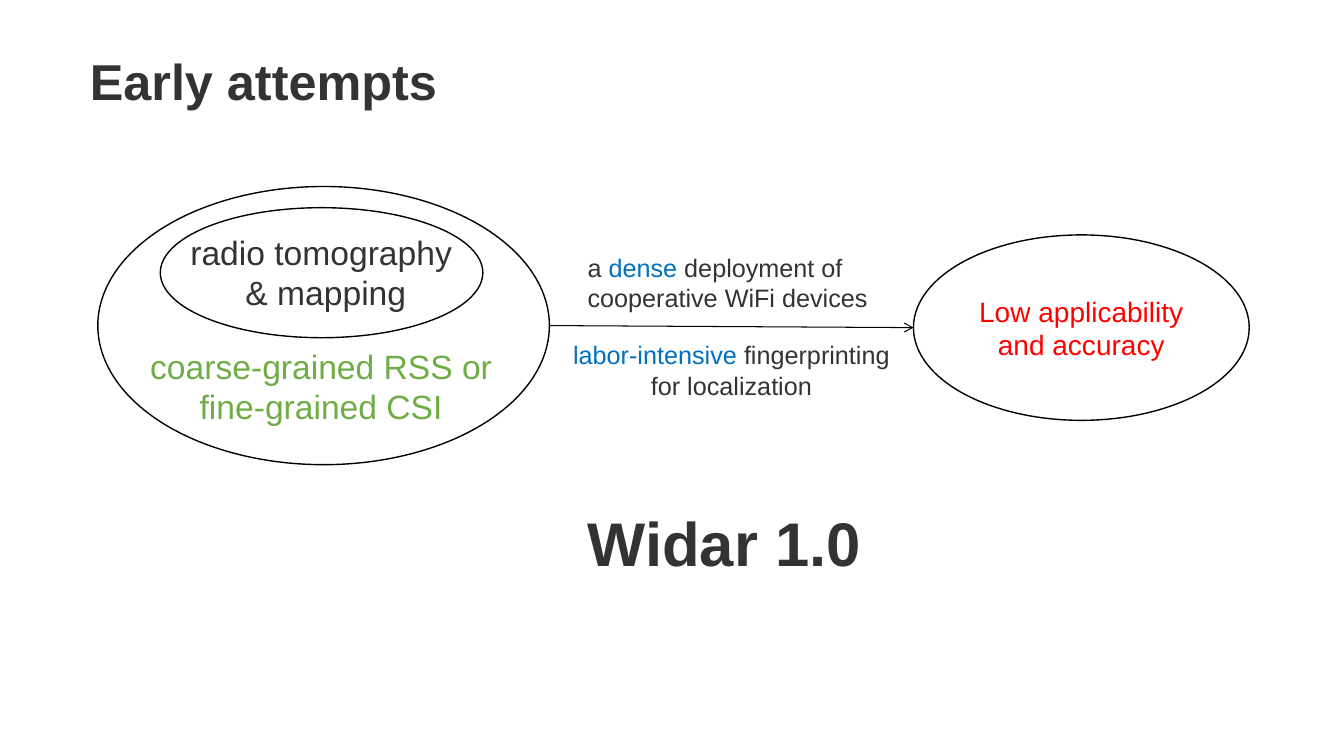
from lxml.etree import SubElement
from pptx import Presentation
from pptx.dml.color import RGBColor
from pptx.enum.shapes import MSO_CONNECTOR, MSO_SHAPE
from pptx.enum.text import MSO_ANCHOR, MSO_AUTO_SIZE, PP_ALIGN
from pptx.oxml.ns import qn
from pptx.util import Inches, Pt

COLORS = {"ink": "333333", "green": "70AD47", "blue": "0070C0",
          "red": "FF0000", "line": "000000"}
WIDTH, HEIGHT = 13.33, 7.5

# Areas are left, top, width, height in percent of the slide.
TITLE = ("Early attempts", (5.93, 6, 31.88, 9.47))
METHODS = (7.28, 24.67, 33.6, 36.8)
RADIO = (11.93, 27.47, 24, 17.2)
RESULT = ("Low applicability and accuracy", (67.97, 31.07, 24.98, 24.53))

# Each label: runs of (text, colour), area, format.
LABELS = [
    ([("radio tomography  & mapping", "ink")],
     (13.13, 30, 21.53, 12.13), {"size": 24, "centered": True}),
    ([("coarse-grained RSS or fine-grained CSI", "green")],
     (10.35, 45.07, 27.08, 12.13), {"size": 24, "centered": True}),
    ([("a ", "ink"), ("dense", "blue"),
      (" deployment of cooperative WiFi devices", "ink")],
     (42.98, 32.67, 24.98, 9.47), {"size": 18}),
    ([("labor-intensive", "blue"), (" fingerprinting for localization", "ink")],
     (41.48, 44.27, 25.88, 9.47), {"size": 18, "centered": True}),
    ([("Widar 1.0", "ink")],
     (42.98, 66.13, 22.05, 11.2), {"size": 44, "bold": True, "wrap": False}),
]


def place(area):
    """Turn percentages of the slide into lengths."""
    left, top, width, height = area
    return (Inches(left * WIDTH / 100), Inches(top * HEIGHT / 100),
            Inches(width * WIDTH / 100), Inches(height * HEIGHT / 100))


def write(box, runs, size, bold=False, centered=False, wrap=True,
          anchor=MSO_ANCHOR.TOP, auto_size=MSO_AUTO_SIZE.SHAPE_TO_FIT_TEXT):
    frame = box.text_frame
    frame.word_wrap = wrap
    frame.auto_size = auto_size
    frame.vertical_anchor = anchor
    para = frame.paragraphs[0]
    para.alignment = PP_ALIGN.CENTER if centered else PP_ALIGN.LEFT
    for text, color in runs:
        span = para.add_run()
        span.text = text
        span.font.name = "Arial"
        span.font.size = Pt(size)
        span.font.bold = bold
        span.font.color.rgb = RGBColor.from_string(COLORS[color])


def draw_line(line, width):
    line.color.rgb = RGBColor.from_string(COLORS["line"])
    line.width = Pt(width)


def add_ellipse(page, area):
    ellipse = page.shapes.add_shape(MSO_SHAPE.OVAL, *place(area))
    ellipse.shadow.inherit = False
    ellipse.fill.background()
    draw_line(ellipse.line, 1)
    return ellipse


def add_arrow(page, source, target):
    """Point from the right of one ellipse to the left of another."""
    arrow = page.shapes.add_connector(
        MSO_CONNECTOR.STRAIGHT,
        source.left + source.width, source.top + source.height // 2,
        target.left, target.top + target.height // 2)
    draw_line(arrow.line, 0.75)
    SubElement(arrow.line._get_or_add_ln(), qn("a:tailEnd"), type="arrow")
    SubElement(arrow._element.spPr, qn("a:effectLst"))


def main():
    deck = Presentation()
    deck.slide_width, deck.slide_height = Inches(WIDTH), Inches(HEIGHT)
    page = deck.slides.add_slide(deck.slide_layouts.get_by_name("Title Only"))

    title_text, title_area = TITLE
    title = page.shapes.title
    title.left, title.top, title.width, title.height = place(title_area)
    write(title, [(title_text, "ink")], size=36, bold=True)

    add_ellipse(page, RADIO)
    methods = add_ellipse(page, METHODS)
    result_text, result_area = RESULT
    result = add_ellipse(page, result_area)
    write(result, [(result_text, "red")], size=20, centered=True,
          anchor=MSO_ANCHOR.MIDDLE, auto_size=MSO_AUTO_SIZE.NONE)
    add_arrow(page, methods, result)

    for runs, area, style in LABELS:
        write(page.shapes.add_textbox(*place(area)), runs, **style)

    deck.save("out.pptx")


if __name__ == "__main__":
    main()
